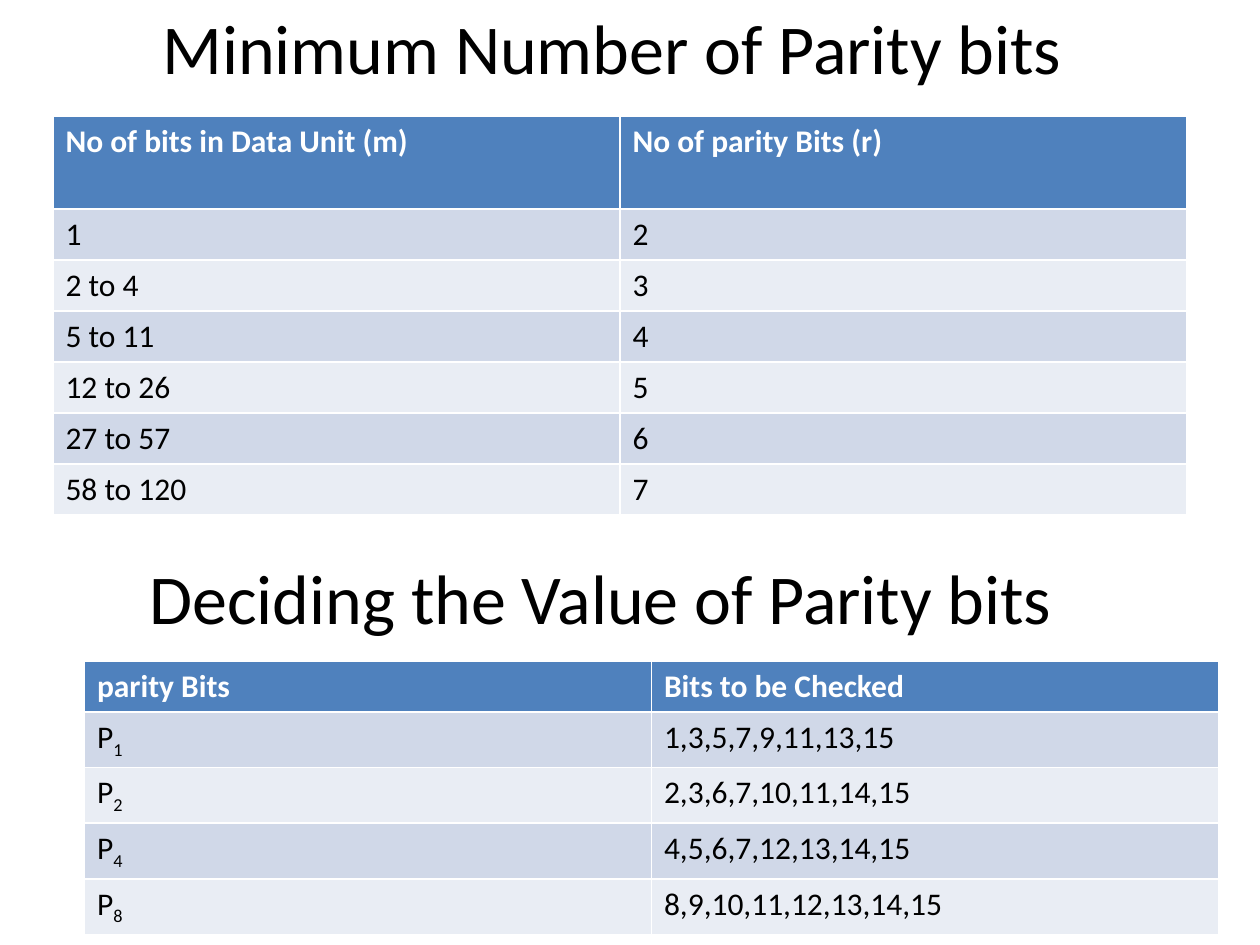
from dataclasses import dataclass

from pptx import Presentation
from pptx.dml.color import RGBColor
from pptx.enum.text import MSO_ANCHOR, PP_ALIGN
from pptx.slide import Slide
from pptx.table import _Cell
from pptx.text.text import _Run
from pptx.util import Inches, Pt

BLACK, WHITE = "000000", "FFFFFF"
HEADER_FILL = "4F81BD"
BAND_FILLS = ("D0D8E8", "E9EDF4")
COLUMN_WIDTH = 4.5
ROW_HEIGHT = 0.405


@dataclass(frozen=True)
class Heading:
    text: str
    left: float
    top: float
    line_spacing: float


@dataclass(frozen=True)
class ParityTable:
    left: float
    top: float
    header_height: float
    rows: tuple[tuple[str, str], ...]


HEADINGS = (
    Heading("Minimum Number of Parity bits ", 0.42, 0.01, 1.0),
    Heading("Deciding the Value of Parity bits ", 0.33, 4.42, 0.9),
)
TABLES = (
    ParityTable(0.42, 0.92, 0.74, (
        ("No of bits in Data Unit (m)", "No of parity Bits (r)"),
        ("1", "2"),
        ("2 to 4", "3"),
        ("5 to 11", "4"),
        ("12 to 26", "5"),
        ("27 to 57", "6"),
        ("58 to 120", "7"),
    )),
    ParityTable(0.67, 5.25, 0.4, (
        ("parity Bits", "Bits to be Checked"),
        ("P_1", "1,3,5,7,9,11,13,15"),
        ("P_2", "2,3,6,7,10,11,14,15"),
        ("P_4", "4,5,6,7,12,13,14,15"),
        ("P_8", "8,9,10,11,12,13,14,15"),
    )),
)


def rgb(hex_color: str) -> RGBColor:
    return RGBColor.from_string(hex_color)


def format_run(run: _Run, size: int, color: str, bold: bool = False) -> None:
    for attribute, value in {"name": "Calibri", "size": Pt(size), "bold": bold}.items():
        setattr(run.font, attribute, value)
    run.font.color.rgb = rgb(color)


def draw_heading(slide: Slide, heading: Heading) -> None:
    box = slide.shapes.add_textbox(
        Inches(heading.left), Inches(heading.top), Inches(9), Inches(0.72))
    frame = box.text_frame
    for attribute, value in {"word_wrap": True, "vertical_anchor": MSO_ANCHOR.MIDDLE}.items():
        setattr(frame, attribute, value)
    paragraph = frame.paragraphs[0]
    paragraph.alignment = PP_ALIGN.CENTER
    paragraph.line_spacing = heading.line_spacing
    run = paragraph.add_run()
    run.text = heading.text
    format_run(run, 40, BLACK)


def fill_cell(cell: _Cell, label: str, is_header: bool, fill: str) -> None:
    """Write a label whose part after an underscore is a subscript."""
    cell.fill.solid()
    cell.fill.fore_color.rgb = rgb(fill)
    base, _, subscript = label.partition("_")
    for text, baseline in ((base, "0"), (subscript, "-25000")):
        if text:
            run = cell.text_frame.paragraphs[0].add_run()
            run.text = text
            format_run(run, 18, WHITE if is_header else BLACK, is_header)
            run.font._element.set("baseline", baseline)


def draw_table(slide: Slide, parity: ParityTable) -> None:
    row_count = len(parity.rows)
    height = parity.header_height + ROW_HEIGHT * (row_count - 1)
    table = slide.shapes.add_table(
        row_count, 2, Inches(parity.left), Inches(parity.top),
        Inches(2 * COLUMN_WIDTH), Inches(height)).table
    for column in table.columns:
        column.width = Inches(COLUMN_WIDTH)
    for row_index, labels in enumerate(parity.rows):
        is_header = row_index == 0
        table.rows[row_index].height = Inches(parity.header_height if is_header else ROW_HEIGHT)
        fill = HEADER_FILL if is_header else BAND_FILLS[(row_index - 1) % 2]
        for column_index, label in enumerate(labels):
            fill_cell(table.cell(row_index, column_index), label, is_header, fill)


def main() -> None:
    presentation = Presentation()
    presentation.slide_width = Inches(10)
    presentation.slide_height = Inches(7.5)
    slide = presentation.slides.add_slide(presentation.slide_layouts[6])
    for heading, parity in zip(HEADINGS, TABLES):
        draw_heading(slide, heading)
        draw_table(slide, parity)
    presentation.save("out.pptx")


if __name__ == "__main__":
    main()
